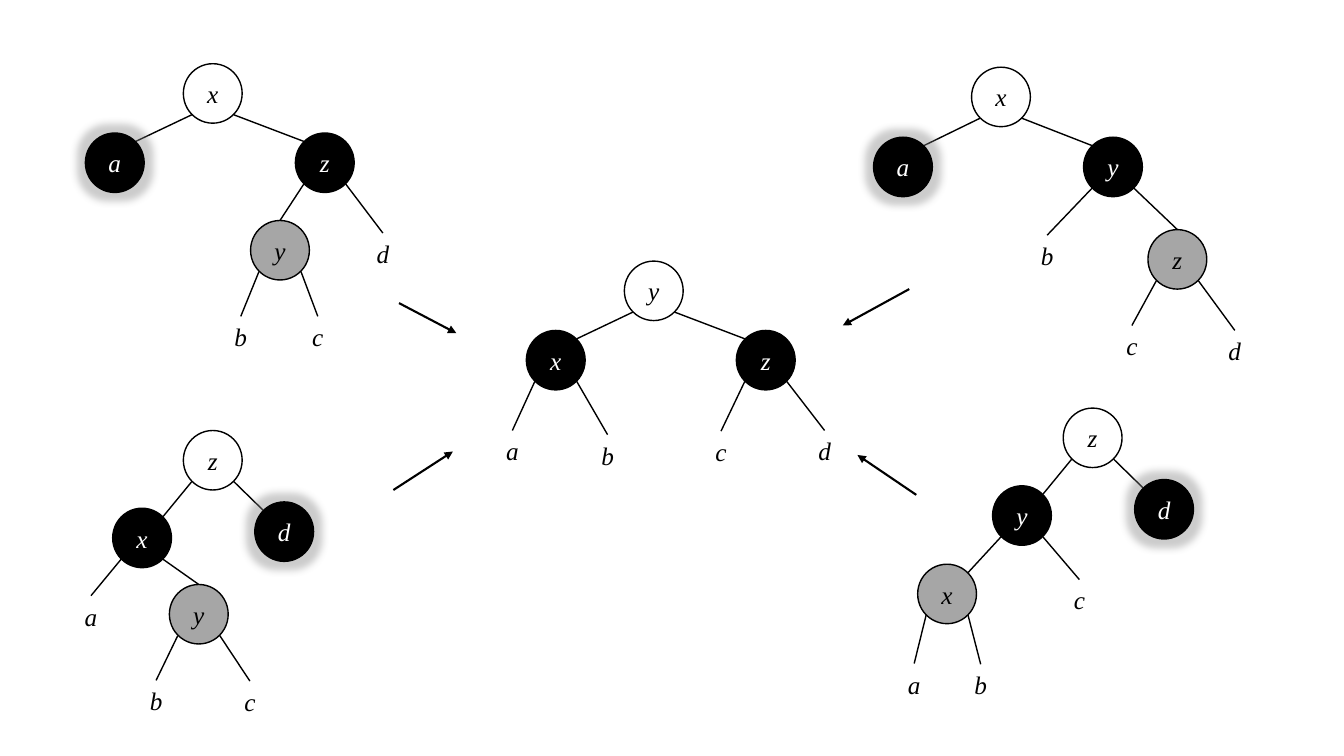
import pptx
import pptx.util
import pptx.dml.color
import pptx.enum.shapes
import pptx.enum.text
import pptx.oxml
import pptx.oxml.ns

Pt = pptx.util.Pt

# Each node: label, look, centre x, top y, children (points)
TREES = [
    ("y", "white", 467, 186.5, [
        ("x", "black", 397, 236, [
            ("a", "leaf", 366, 307.5, []), ("b", "leaf", 434, 310.5, [])]),
        ("z", "black", 547, 236, [
            ("c", "leaf", 515, 308, []), ("d", "leaf", 589, 307.5, [])])]),
    ("x", "white", 152, 45.5, [
        ("a", "glow", 82, 95, []),
        ("z", "black", 232, 95, [
            ("y", "grey", 200, 157.5, [
                ("b", "leaf", 172, 226, []), ("c", "leaf", 227, 226, [])]),
            ("d", "leaf", 273.5, 166.5, [])])]),
    ("z", "white", 152, 307.5, [
        ("x", "black", 101.5, 363, [
            ("a", "leaf", 65, 425.5, []),
            ("y", "grey", 142, 417.5, [
                ("b", "leaf", 111.5, 486, []), ("c", "leaf", 178.5, 486.5, [])])]),
        ("d", "glow", 203, 358.5, [])]),
    ("x", "white", 715, 48, [
        ("a", "glow", 645, 98, []),
        ("y", "black", 795, 98, [
            ("b", "leaf", 748, 168, []),
            ("z", "grey", 841, 164, [
                ("c", "leaf", 808.5, 232.5, []), ("d", "leaf", 882, 236, [])])])]),
    ("z", "white", 780.5, 291.5, [
        ("y", "black", 730, 347, [
            ("x", "side", 676.5, 403, [
                ("a", "leaf", 653, 474, []), ("b", "leaf", 700.5, 474.5, [])]),
            ("c", "leaf", 771, 414, [])]),
        ("d", "glow", 831.5, 342.5, [])]),
]
ARROWS = [
    (285, 216.5, 326, 238), (281, 350, 323.5, 322.5),
    (649.5, 206.5, 602, 232.5), (654.5, 353.5, 612.5, 325),
]
COLORS = {"white": "FFFFFF", "black": "000000", "glow": "000000",
          "grey": "A6A6A6", "side": "A6A6A6", "ink": "000000", "halo": "808080"}
FONT = "Times New Roman"
WIDE, HIGH = 42, 42.5       # circle
BOX_W, BOX_H = 23.5, 29     # leaf label
REACH = 15                  # edge ends lie this far beside a circle's centre
NEAR, FAR = 6, 36.5         # and this far below its top

deck = pptx.Presentation()
deck.slide_width, deck.slide_height = Pt(960), Pt(540)
slide = deck.slides.add_slide(deck.slide_layouts[6])
shapes = slide.shapes


def color(name):
    return pptx.dml.color.RGBColor.from_string(COLORS[name])


def element(text):
    return pptx.oxml.parse_xml(text.replace(
        ">", f" {pptx.oxml.ns.nsdecls('a')}>", 1))


def write(shape, label, ink, inset):
    frame = shape.text_frame
    frame.text = label
    frame.margin_left = frame.margin_right = Pt(inset)
    frame.margin_top = frame.margin_bottom = Pt(3)
    frame.vertical_anchor = pptx.enum.text.MSO_ANCHOR.MIDDLE
    para = frame.paragraphs[0]
    para.alignment = pptx.enum.text.PP_ALIGN.CENTER
    font = para.runs[0].font
    font.name, font.size, font.italic = FONT, Pt(18), True
    font.color.rgb = color(ink)


def line(x1, y1, x2, y2, width):
    link = shapes.add_connector(pptx.enum.shapes.MSO_CONNECTOR.STRAIGHT,
                                Pt(x1), Pt(y1), Pt(x2), Pt(y2))
    link.line.color.rgb = color("ink")
    link.line.width = Pt(width)
    link._element.spPr.append(element("<a:effectLst></a:effectLst>"))
    return link


def circle(label, look, x, top):
    disc = shapes.add_shape(pptx.enum.shapes.MSO_SHAPE.OVAL,
                            Pt(x - WIDE / 2), Pt(top), Pt(WIDE), Pt(HIGH))
    disc.shadow.inherit = False
    disc.fill.solid()
    disc.fill.fore_color.rgb = color(look)
    disc.line.color.rgb = color("ink")
    disc.line.width = Pt(1)
    write(disc, label, "white" if look in ("black", "glow") else "ink", 3)
    if look == "glow":
        effects = disc._element.spPr.find(pptx.oxml.ns.qn("a:effectLst"))
        effects.append(element(
            f'<a:glow rad="{Pt(11)}"><a:srgbClr val="{COLORS["halo"]}">'
            '<a:alpha val="40000"/></a:srgbClr></a:glow>'))


def leaf(label, x, top):
    box = shapes.add_textbox(Pt(x - BOX_W / 2), Pt(top), Pt(BOX_W), Pt(BOX_H))
    write(box, label, "ink", 0)


def draw(node):
    label, look, x, top, kids = node
    # Edges to the children, below the circles
    for kid in kids:
        kind, kid_x, kid_top = kid[1:4]
        side = 1 if kid_x > x else -1
        end_x, end_y = kid_x, kid_top
        if kind not in ("leaf", "grey"):
            end_x, end_y = kid_x - side * REACH, kid_top + NEAR
        line(x + side * REACH, top + FAR, end_x, end_y, 1)
    if look == "leaf":
        leaf(label, x, top)
    else:
        circle(label, look, x, top)
    for kid in kids:
        draw(kid)


# Trees
for tree in TREES:
    draw(tree)

# Arrows towards the balanced tree
for ends in ARROWS:
    arrow = line(*ends, 1.5)
    arrow.line._get_or_add_ln().append(element('<a:tailEnd type="triangle"></a:tailEnd>'))

deck.save("out.pptx")
